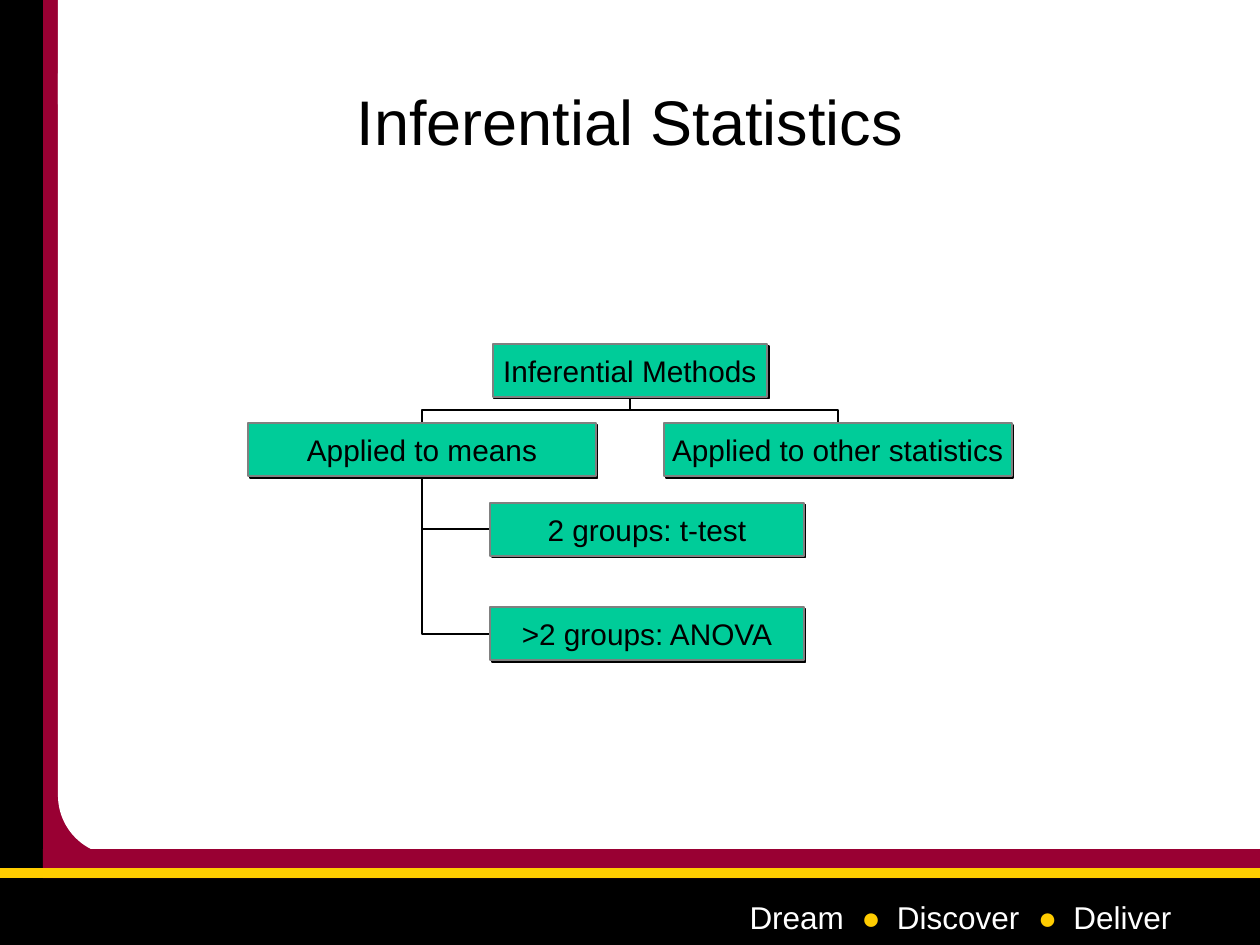
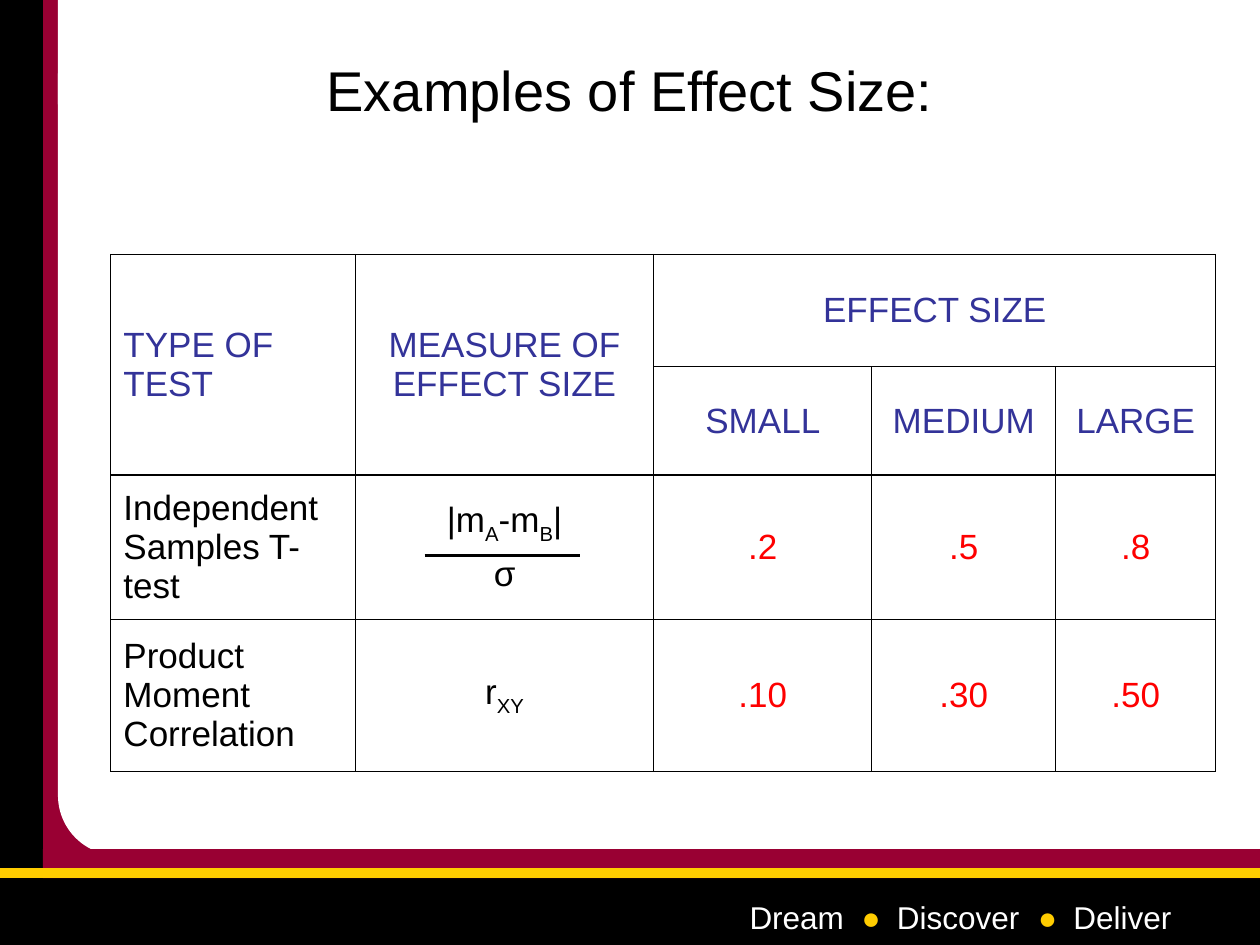
"""Build two statistics slides: a tree of inferential methods and an effect size table."""
from dataclasses import dataclass
from typing import Optional

from lxml import etree
from pptx import Presentation
from pptx.dml.color import RGBColor
from pptx.enum.shapes import MSO_CONNECTOR, MSO_SHAPE
from pptx.enum.text import MSO_ANCHOR, PP_ALIGN
from pptx.oxml.ns import qn
from pptx.util import Inches, Pt

RECTANGLE, ROUNDED = MSO_SHAPE.RECTANGLE, MSO_SHAPE.ROUNDED_RECTANGLE
STRAIGHT, ELBOW = MSO_CONNECTOR.STRAIGHT, MSO_CONNECTOR.ELBOW
LEFT, CENTER = PP_ALIGN.LEFT, PP_ALIGN.CENTER
TOP, MIDDLE = MSO_ANCHOR.TOP, MSO_ANCHOR.MIDDLE


@dataclass(frozen=True)
class Theme:
    """Colours, font and type sizes shared by the slides."""
    black: str = "000000"
    white: str = "FFFFFF"
    maroon: str = "990033"
    gold: str = "FFCC00"
    node: str = "00CC99"
    node_edge: str = "808080"
    heading: str = "333399"
    value: str = "FE0000"
    font: str = "Arial"
    title_size: float = 36
    small_title_size: float = 32
    motto_size: float = 18
    node_size: float = 17
    table_size: float = 20
    paragraph_gap: float = 5


THEME = Theme()


@dataclass(frozen=True)
class Box:
    """A rectangle in inches."""
    left: float
    top: float
    width: float
    height: float

    @property
    def center(self) -> float:
        """Return the horizontal centre."""
        return self.left + self.width / 2

    @property
    def middle(self) -> float:
        """Return the vertical centre."""
        return self.top + self.height / 2

    @property
    def bottom(self) -> float:
        """Return the lower edge."""
        return self.top + self.height

    def lengths(self) -> list:
        """Return left, top, width and height as lengths."""
        return [Inches(value) for value in (self.left, self.top, self.width, self.height)]


@dataclass(frozen=True)
class TextRun:
    """A piece of text with its own look."""
    text: str
    size: float
    color: str = THEME.black
    subscript: bool = False


@dataclass(frozen=True)
class Band:
    """A filled piece of the slide frame."""
    box: Box
    color: str
    kind: int = RECTANGLE


@dataclass(frozen=True)
class Node:
    """A labelled box of the tree."""
    label: str
    box: Box


@dataclass(frozen=True)
class TableCell:
    """Paragraphs of runs at a place in the table."""
    row: int
    column: int
    paragraphs: list
    alignment: int = CENTER


BANDS = [
    Band(Box(0.32, 0, 0.43, 7.5), THEME.maroon),
    Band(Box(1.04, 0.75, 8.96, 6.75), THEME.white),
    Band(Box(0, 0, 0.34, 7.5), THEME.black),
    Band(Box(0, 6.96, 10, 0.54), THEME.black),
    Band(Box(0.46, 0.12, 2.81, 6.67), THEME.white, ROUNDED),
    Band(Box(0.46, 0, 0.64, 0.83), THEME.white),
    Band(Box(0.34, 6.74, 9.66, 0.23), THEME.maroon),
]
PANEL_ROUNDING = 0.17
MOTTO = [("Dream", THEME.white), ("\t●", THEME.gold), ("\tDiscover", THEME.white),
         ("\t●", THEME.gold), ("\tDeliver", THEME.white)]
MOTTO_TABS = [0.89, 1.17, 2.29, 2.57]

NODE_HEIGHT = 0.42
ROOT = Node("Inferential Methods", Box(3.91, 2.73, 2.18, NODE_HEIGHT))
MEANS = Node("Applied to means", Box(1.97, 3.36, 2.76, NODE_HEIGHT))
OTHERS = Node("Applied to other statistics", Box(5.27, 3.36, 2.76, NODE_HEIGHT))
TESTS = [Node("2 groups: t-test", Box(3.89, 3.99, 2.49, NODE_HEIGHT)),
         Node(">2 groups: ANOVA", Box(3.89, 4.82, 2.49, NODE_HEIGHT))]

TABLE_BOX = Box(0.88, 2.02, 8.77, 4.1)
COLUMN_WIDTHS = [1.94, 2.37, 1.73, 1.46, 1.27]
ROW_HEIGHTS = [0.89, 0.86, 1.15, 1.2]
MERGES = [((0, 0), (1, 0)), ((0, 1), (1, 1)), ((0, 2), (0, 4))]
SIZE_NAMES = ["SMALL", "MEDIUM", "LARGE"]
EFFECT_SIZES = [[".2", ".5", ".8"], [".10", ".30", ".50"]]


def rgb(color: str) -> RGBColor:
    """Return a colour from its hexadecimal form."""
    return RGBColor.from_string(color)


def fill_paragraph(paragraph, runs: list, alignment: int) -> None:
    """Write runs into a paragraph."""
    paragraph.alignment = alignment
    for item in runs:
        run = paragraph.add_run()
        run.text = item.text
        run.font.size = Pt(item.size)
        run.font.name = THEME.font
        run.font.bold = False
        run.font.color.rgb = rgb(item.color)
        if item.subscript:
            run.font._element.set("baseline", "-25000")


def add_text(slide, box: Box, runs: list, alignment: int, anchor: int,
             tabs: Optional[list] = None) -> None:
    """Add a wrapped one-paragraph text box."""
    frame = slide.shapes.add_textbox(*box.lengths()).text_frame
    frame.word_wrap = True
    frame.vertical_anchor = anchor
    paragraph = frame.paragraphs[0]
    if tabs:
        tab_list = etree.SubElement(paragraph._p.get_or_add_pPr(), qn("a:tabLst"))
        for position in tabs:
            etree.SubElement(tab_list, qn("a:tab"), pos=str(Inches(position)), algn="l")
    fill_paragraph(paragraph, runs, alignment)


def add_shape(slide, box: Box, color: str, kind: int = RECTANGLE):
    """Add a filled shape with neither outline nor shadow."""
    shape = slide.shapes.add_shape(kind, *box.lengths())
    shape.shadow.inherit = False
    shape.fill.solid()
    shape.fill.fore_color.rgb = rgb(color)
    shape.line.fill.background()
    return shape


def add_line(slide, start: tuple, end: tuple, color: str, weight: float, kind: int = STRAIGHT):
    """Add a connector between two points in inches."""
    points = [Inches(value) for value in (*start, *end)]
    connector = slide.shapes.add_connector(kind, *points)
    connector.line.color.rgb = rgb(color)
    connector.line.width = Pt(weight)
    etree.SubElement(connector._element.spPr, qn("a:effectLst"))
    return connector


def turn(connector, degrees: int) -> None:
    """Rotate a connector about its centre."""
    connector._element.spPr.find(qn("a:xfrm")).set("rot", str(degrees * 60000))


def add_frame(slide) -> None:
    """Draw the bands and footer of every slide."""
    for band in BANDS:
        shape = add_shape(slide, band.box, band.color, band.kind)
        if band.kind == ROUNDED:
            shape.adjustments[0] = PANEL_ROUNDING
    add_line(slide, (0, 6.93), (10, 6.93), THEME.gold, 6)
    motto = [TextRun(text, THEME.motto_size, color) for text, color in MOTTO]
    add_text(slide, Box(5.85, 7.08, 3.99, 0.4), motto, LEFT, TOP, MOTTO_TABS)


def add_slide(presentation, title: str, title_height: float, title_size: float):
    """Add a framed slide with its title."""
    slide = presentation.slides.add_slide(presentation.slide_layouts[6])
    add_frame(slide)
    add_text(slide, Box(0.75, 0.33, 8.5, title_height), [TextRun(title, title_size)],
             CENTER, MIDDLE)
    return slide


def add_node(slide, node: Node) -> None:
    """Draw a tree box with its hard shadow."""
    shape = add_shape(slide, node.box, THEME.node)
    shape.line.color.rgb = rgb(THEME.node_edge)
    shape.line.width = Pt(1)
    effects = shape._element.spPr.find(qn("a:effectLst"))
    shadow = etree.SubElement(effects, qn("a:outerShdw"), dist=str(Pt(1.4)),
                              dir=str(45 * 60000), algn="ctr", rotWithShape="0")
    etree.SubElement(shadow, qn("a:srgbClr"), val=THEME.black)
    frame = shape.text_frame
    frame.word_wrap = False
    frame.vertical_anchor = MIDDLE
    frame.margin_left = frame.margin_right = Inches(0.07)
    frame.margin_top = frame.margin_bottom = Inches(0.03)
    fill_paragraph(frame.paragraphs[0], [TextRun(node.label, THEME.node_size)], CENTER)


def link_below(slide, parent: Box, child: Box) -> None:
    """Join a parent's bottom to a child's top with a stepped line."""
    across, down = child.center - parent.center, child.top - parent.bottom
    middle_x = (parent.center + child.center) / 2
    middle_y = (parent.bottom + child.top) / 2
    connector = add_line(slide, (middle_x - down / 2, middle_y + across / 2),
                         (middle_x + down / 2, middle_y - across / 2), THEME.black, 1, ELBOW)
    turn(connector, 90)


def link_beside(slide, parent: Box, child: Box) -> None:
    """Join a parent's bottom to a child's left side with one corner."""
    connector = add_line(slide, (parent.center, parent.bottom), (child.left, child.middle),
                         THEME.black, 1, ELBOW)
    connector._element.spPr.find(qn("a:prstGeom")).set("prst", "bentConnector2")
    turn(connector, 180)


def build_methods(presentation) -> None:
    """Build the tree of inferential methods."""
    slide = add_slide(presentation, "Inferential Statistics", 1.25, THEME.title_size)
    for test in TESTS:
        link_beside(slide, MEANS.box, test.box)
    for branch in (MEANS, OTHERS):
        link_below(slide, ROOT.box, branch.box)
    for node in (ROOT, MEANS, OTHERS, *TESTS):
        add_node(slide, node)


def table_run(text: str, color: str = THEME.black, subscript: bool = False) -> TextRun:
    """Return a run in the table's type size."""
    return TextRun(text, THEME.table_size, color, subscript)


def table_cells() -> list:
    """Return the content of the effect size table."""
    headings = [(0, 0, "TYPE OF TEST", LEFT), (0, 1, "MEASURE OF EFFECT SIZE", CENTER),
                (0, 2, "EFFECT SIZE", CENTER)]
    headings += [(1, column, name, CENTER) for column, name in enumerate(SIZE_NAMES, 2)]
    cells = [TableCell(row, column, [[table_run(text, THEME.heading)]], alignment)
             for row, column, text, alignment in headings]
    difference = [table_run("|m"), table_run("A", subscript=True), table_run("-m"),
                  table_run("B", subscript=True), table_run("|")]
    cells += [
        TableCell(2, 0, [[table_run("Independent Samples T-test")]], LEFT),
        TableCell(2, 1, [difference, [table_run("σ")]]),
        TableCell(3, 0, [[table_run("Product Moment Correlation")]], LEFT),
        TableCell(3, 1, [[table_run("r"), table_run("XY", subscript=True)]]),
    ]
    cells += [TableCell(row, column, [[table_run(value, THEME.value)]])
              for row, values in enumerate(EFFECT_SIZES, 2)
              for column, value in enumerate(values, 2)]
    return cells


def outline_cell(cell) -> None:
    """Clear a cell's fill and draw its four borders."""
    cell.fill.background()
    properties = cell._tc.get_or_add_tcPr()
    for index, side in enumerate(("lnL", "lnR", "lnT", "lnB")):
        border = etree.Element(qn(f"a:{side}"), w=str(Pt(0.75)))
        fill = etree.SubElement(border, qn("a:solidFill"))
        etree.SubElement(fill, qn("a:srgbClr"), val=THEME.black)
        properties.insert(index, border)


def build_effect_sizes(presentation) -> None:
    """Build the effect size table."""
    slide = add_slide(presentation, "Examples of Effect Size:", 0.75, THEME.small_title_size)
    graphic = slide.shapes.add_table(len(ROW_HEIGHTS), len(COLUMN_WIDTHS), *TABLE_BOX.lengths())
    table = graphic.table
    table.first_row = table.horz_banding = False
    for column, width in zip(table.columns, COLUMN_WIDTHS):
        column.width = Inches(width)
    for row, height in zip(table.rows, ROW_HEIGHTS):
        row.height = Inches(height)
    for cell in table.iter_cells():
        outline_cell(cell)
    for first, last in MERGES:
        table.cell(*first).merge(table.cell(*last))
    for content in table_cells():
        cell = table.cell(content.row, content.column)
        cell.vertical_anchor = MIDDLE
        for index, runs in enumerate(content.paragraphs):
            frame = cell.text_frame
            paragraph = frame.add_paragraph() if index else frame.paragraphs[0]
            if index:
                paragraph.space_before = Pt(THEME.paragraph_gap)
            fill_paragraph(paragraph, runs, content.alignment)
    add_line(slide, (3.37, 4.41), (4.6, 4.41), THEME.black, 1.75)


def main() -> None:
    """Build and save the presentation."""
    presentation = Presentation()
    presentation.slide_width, presentation.slide_height = Inches(10), Inches(7.5)
    build_methods(presentation)
    build_effect_sizes(presentation)
    presentation.save("out.pptx")


if __name__ == "__main__":
    main()
